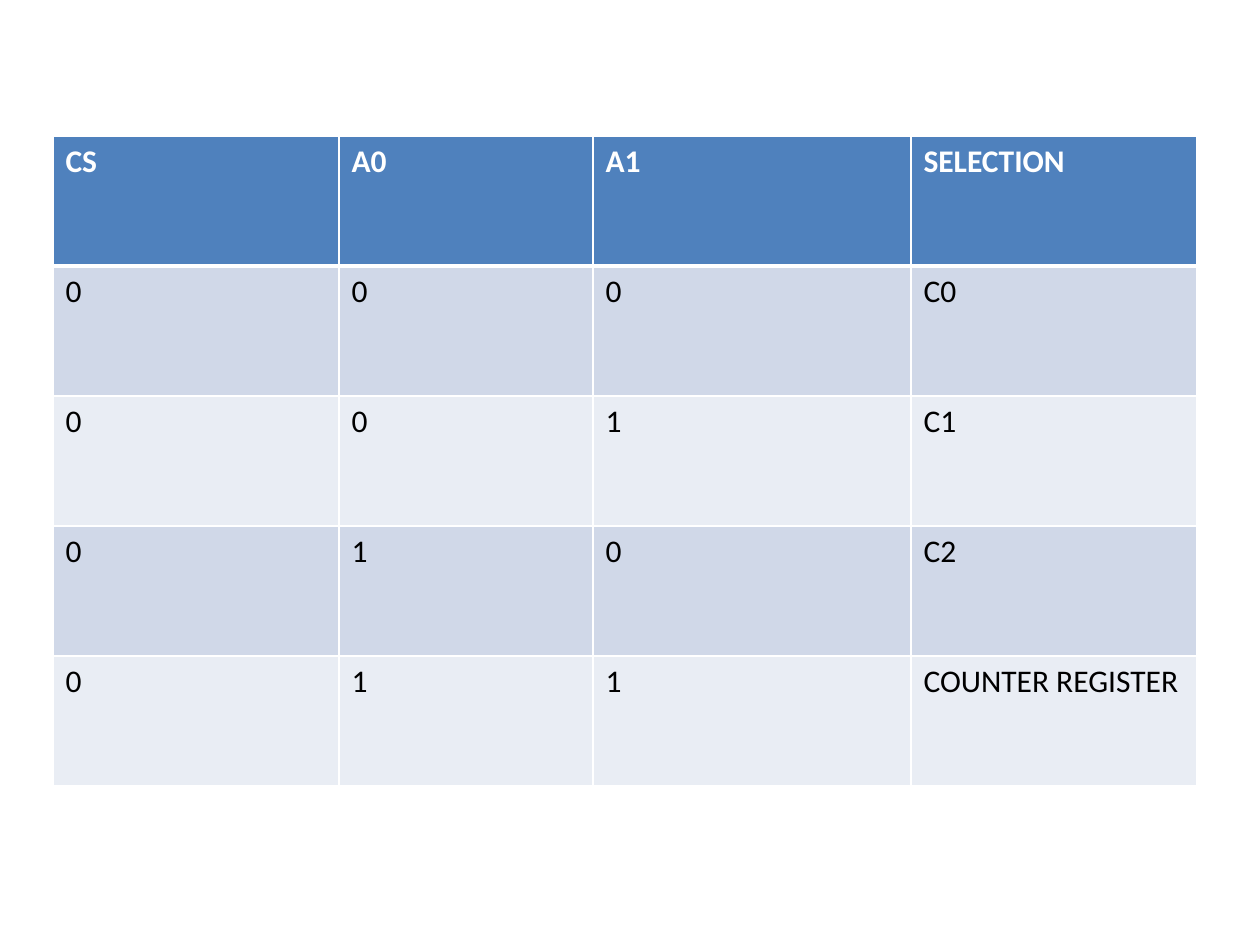
from lxml.etree import SubElement
from pptx import Presentation
from pptx.dml.color import RGBColor
from pptx.oxml.ns import qn
from pptx.util import Inches, Pt

HEADINGS = ["CS", "A0", "A1", "SELECTION"]
SELECTIONS = [
    ["0", "0", "0", "C0"],
    ["0", "0", "1", "C1"],
    ["0", "1", "0", "C2"],
    ["0", "1", "1", "COUNTER REGISTER"],
]
COLUMN_WIDTHS = [286, 254, 318, 286]
ROW_HEIGHT = 130
LEFT, TOP = 53, 136
HEADER_FILL, BAND_FILLS = "4F81BD", ["D0D8E8", "E9EDF4"]
WHITE, BLACK = "FFFFFF", "000000"


def px(length):
    return round(length * Inches(1) / 126)


def color(hex_code):
    return RGBColor.from_string(hex_code)


def add_borders(cell, widths):
    """Draw white borders; widths maps the sides L, R, T, B to points."""
    properties = cell._tc.get_or_add_tcPr()
    for side, width in widths.items():
        line = SubElement(properties, qn(f"a:ln{side}"), w=str(Pt(width)))
        fill = SubElement(line, qn("a:solidFill"))
        SubElement(fill, qn("a:srgbClr"), val=WHITE)


def fill_cell(cell, text, row):
    is_header = row == 0
    add_borders(cell, {"L": 1, "R": 1, "T": 3 if row == 1 else 1,
                       "B": 3 if is_header else 1})
    cell.fill.solid()
    cell.fill.fore_color.rgb = color(
        HEADER_FILL if is_header else BAND_FILLS[(row - 1) % 2])
    run = cell.text_frame.paragraphs[0].add_run()
    run.text = text
    run.font.name = "Calibri"
    run.font.size = Pt(18)
    run.font.bold = is_header
    run.font.color.rgb = color(WHITE if is_header else BLACK)


def main():
    deck = Presentation()
    deck.slide_width, deck.slide_height = Inches(10), Inches(7.5)
    slide = deck.slides.add_slide(deck.slide_layouts[6])

    rows = [HEADINGS] + SELECTIONS
    table = slide.shapes.add_table(
        len(rows), len(HEADINGS), px(LEFT), px(TOP),
        px(sum(COLUMN_WIDTHS)), px(ROW_HEIGHT * len(rows))).table
    for column, width in zip(table.columns, COLUMN_WIDTHS):
        column.width = px(width)
    for r, texts in enumerate(rows):
        table.rows[r].height = px(ROW_HEIGHT)
        for c, text in enumerate(texts):
            fill_cell(table.cell(r, c), text, r)

    deck.save("out.pptx")


if __name__ == "__main__":
    main()
